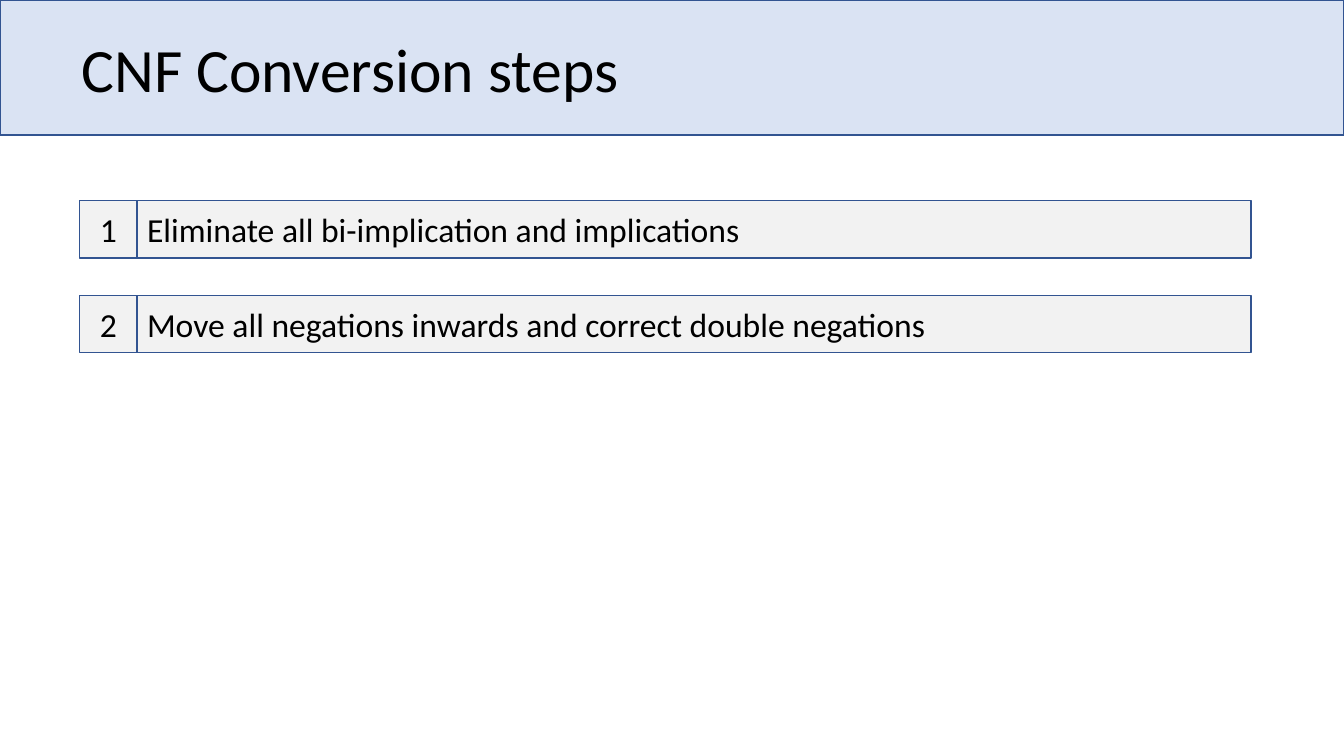
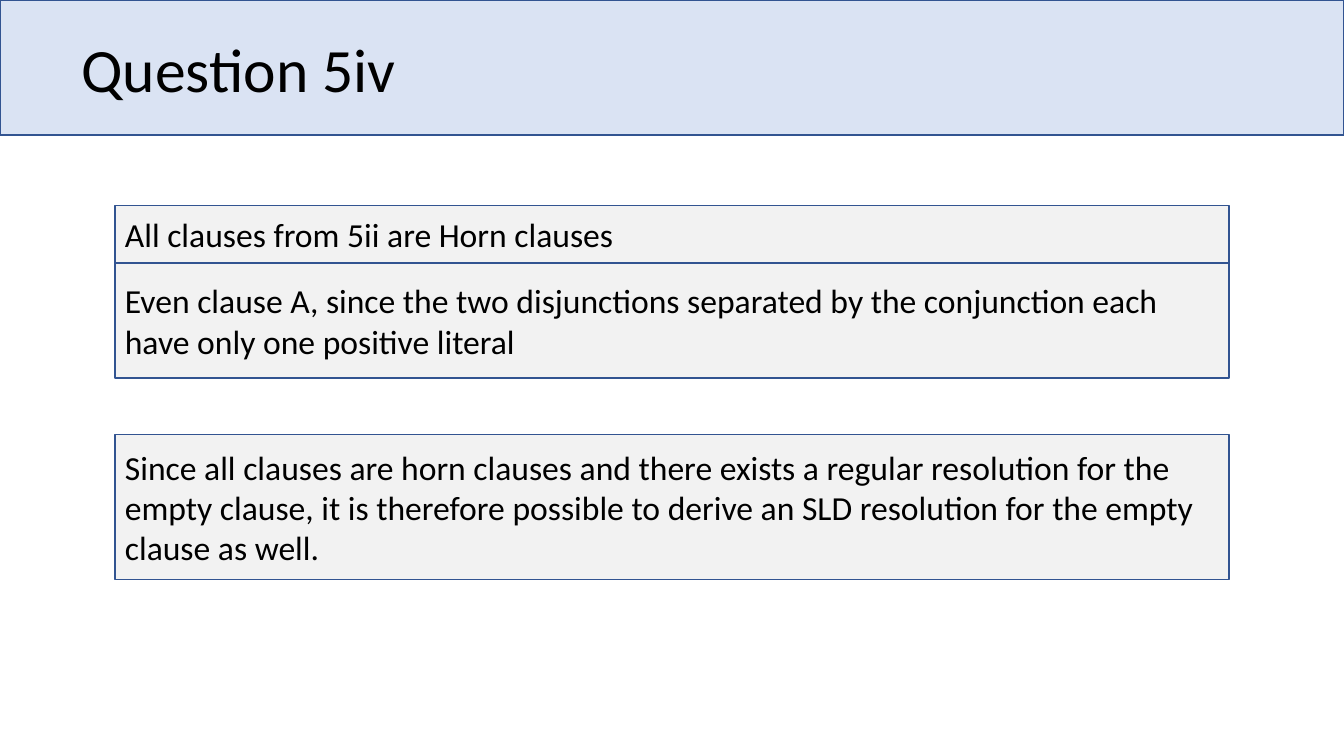
from dataclasses import dataclass

from pptx import Presentation
from pptx.dml.color import RGBColor
from pptx.enum.shapes import MSO_SHAPE as Shape
from pptx.enum.text import MSO_ANCHOR as Anchor, PP_ALIGN as Align
from pptx.util import Inches, Pt


@dataclass(frozen=True)
class Theme:
    band: RGBColor = RGBColor(0xDA, 0xE3, 0xF3)
    panel: RGBColor = RGBColor(0xF2, 0xF2, 0xF2)
    outline: RGBColor = RGBColor(0x32, 0x54, 0x91)
    ink: RGBColor = RGBColor(0, 0, 0)
    font: str = "Calibri"
    title_size: int = 44
    body_size: int = 24
    line_width: int = 1


THEME = Theme()
SLIDE_WIDTH, SLIDE_HEIGHT = 13.33, 7.5
BAND_HEIGHT = 1.34
ROW = 0.57
PANEL_WIDTH = 11.05
STEP_LEFT, STEP_TOP, STEP_PITCH = 0.79, 1.99, 0.94
ANSWER_LEFT = (SLIDE_WIDTH - PANEL_WIDTH) / 2
ANSWER_TOP, ANSWER_GAP = 2.04, 0.56


def write_text(shape, text, size, align=Align.LEFT, line_spacing=1.0):
    frame = shape.text_frame
    frame.word_wrap = True
    frame.vertical_anchor = Anchor.MIDDLE
    frame.text = text
    paragraph = frame.paragraphs[0]
    paragraph.alignment = align
    paragraph.line_spacing = line_spacing
    font = paragraph.runs[0].font
    font.name = THEME.font
    font.size = Pt(size)
    font.color.rgb = THEME.ink


def add_box(shapes, left, top, width, height, fill):
    box = shapes.add_shape(
        Shape.RECTANGLE, Inches(left), Inches(top), Inches(width), Inches(height)
    )
    box.shadow.inherit = False
    box.fill.solid()
    box.fill.fore_color.rgb = fill
    box.line.color.rgb = THEME.outline
    box.line.width = Pt(THEME.line_width)
    return box


def add_panel(shapes, left, top, width, height, text, align=Align.LEFT):
    panel = add_box(shapes, left, top, width, height, THEME.panel)
    write_text(panel, text, THEME.body_size, align)


def add_titled_slide(presentation, title):
    slide = presentation.slides.add_slide(presentation.slide_layouts[6])
    add_box(slide.shapes, 0, 0, SLIDE_WIDTH, BAND_HEIGHT, THEME.band)
    title_box = slide.shapes.add_textbox(
        Inches(0.71), Inches(-0.01), Inches(11.5), Inches(1.45)
    )
    write_text(title_box, title, THEME.title_size, line_spacing=0.9)
    return slide


def add_steps(slide, steps):
    for index, step in enumerate(steps):
        top = STEP_TOP + index * STEP_PITCH
        group = slide.shapes.add_group_shape()
        add_panel(group.shapes, STEP_LEFT + ROW, top, PANEL_WIDTH, ROW, step)
        add_panel(group.shapes, STEP_LEFT, top, ROW, ROW, str(index + 1), Align.CENTER)


def add_answers(slide, blocks):
    top = ANSWER_TOP
    for block in blocks:
        for text, height in block:
            add_panel(slide.shapes, ANSWER_LEFT, top, PANEL_WIDTH, height, text)
            top += height
        top += ANSWER_GAP


def main():
    presentation = Presentation()
    presentation.slide_width = Inches(SLIDE_WIDTH)
    presentation.slide_height = Inches(SLIDE_HEIGHT)

    add_steps(
        add_titled_slide(presentation, "CNF Conversion steps"),
        [
            "Eliminate all bi-implication and implications",
            "Move all negations inwards and correct double negations",
        ],
    )

    add_answers(
        add_titled_slide(presentation, "Question 5iv"),
        [
            [
                ("All clauses from 5ii are Horn clauses", ROW),
                (
                    "Even clause A, since the two disjunctions separated by the "
                    "conjunction each have only one positive literal",
                    2 * ROW,
                ),
            ],
            [
                (
                    "Since all clauses are horn clauses and there exists a regular "
                    "resolution for the empty clause, it is therefore possible to "
                    "derive an SLD resolution for the empty clause as well.",
                    2.53 * ROW,
                ),
            ],
        ],
    )

    presentation.save("out.pptx")


if __name__ == "__main__":
    main()
